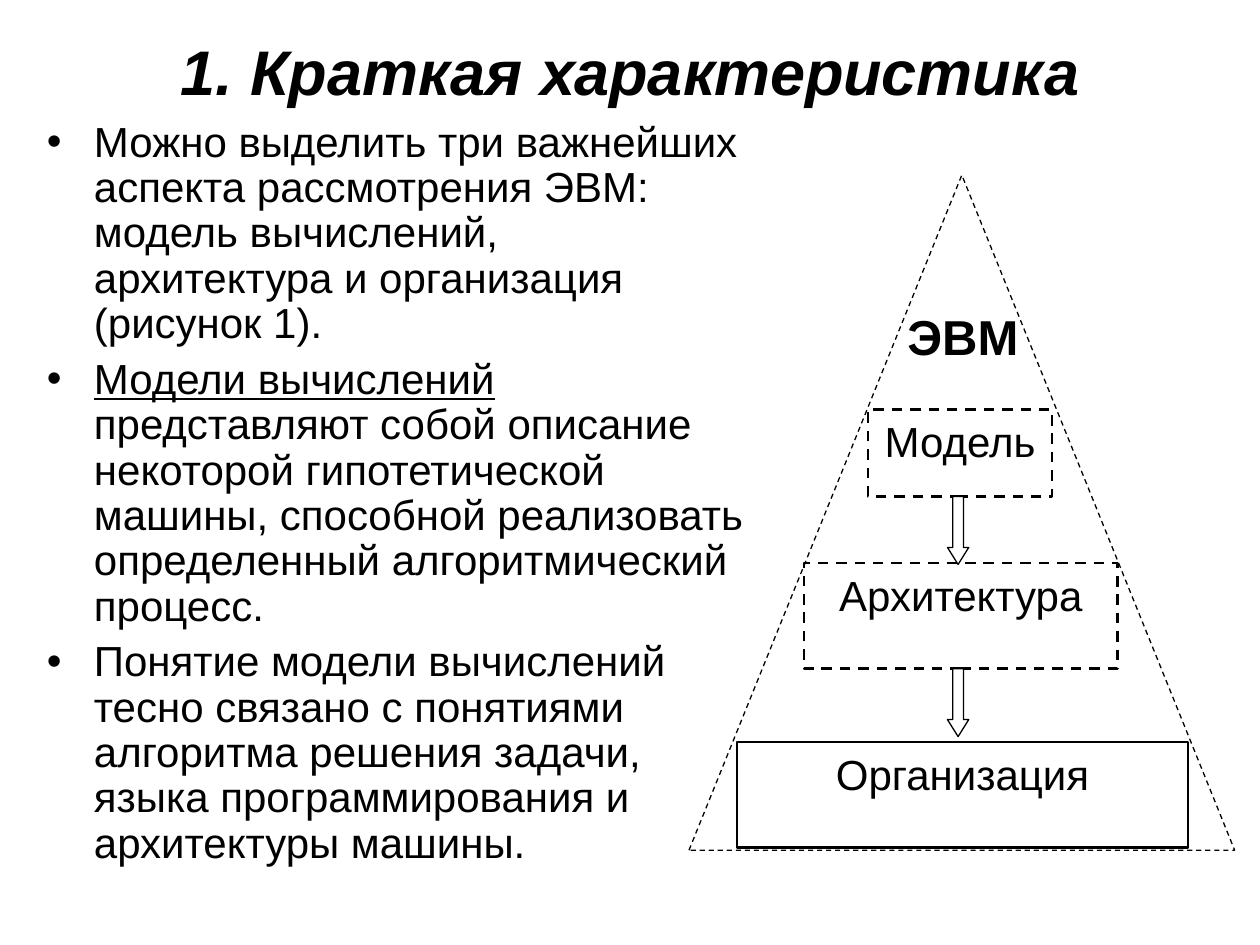
from dataclasses import dataclass

from pptx import Presentation
from pptx.dml.color import RGBColor
from pptx.enum.dml import MSO_LINE_DASH_STYLE as Dash
from pptx.enum.shapes import MSO_SHAPE as Shape
from pptx.enum.text import MSO_ANCHOR as Anchor, MSO_AUTO_SIZE as AutoSize, PP_ALIGN as Align
from pptx.oxml.ns import qn
from pptx.util import Cm, Pt


@dataclass(frozen=True)
class Theme:
    font: str = "Arial"
    ink: RGBColor = RGBColor(0, 0, 0)
    paper: RGBColor = RGBColor(255, 255, 255)
    title: Pt = Pt(36)
    label: Pt = Pt(28)
    body: Pt = Pt(24)
    thin: Pt = Pt(0.75)
    thick: Pt = Pt(1.5)


THEME = Theme()

# Each paragraph is a list of (text, underlined) runs.
BULLETS = [
    [("Можно выделить три важнейших аспекта рассмотрения ЭВМ: модель вычислений, "
      "архитектура и организация (рисунок 1).", False)],
    [("Модели вычислений", True),
     (" представляют собой описание некоторой гипотетической машины, способной "
      "реализовать определенный алгоритмический процесс.", False)],
    [("Понятие модели вычислений тесно связано с понятиями алгоритма решения задачи, "
      "языка программирования и архитектуры машины.", False)],
]

# Text, box in cm, line dash
LEVELS = [
    ("Модель", (17.5, 8.26, 3.71, 1.75), Dash.DASH),
    ("Архитектура", (16.21, 11.35, 6.32, 2.13), Dash.DASH),
    ("Организация", (14.86, 14.96, 9.09, 2.13), Dash.SOLID),
]
ARROW_LEFT, ARROW_WIDTH, ARROW_HEIGHT = 19.1, 0.43, 1.37


def set_all(target, **values):
    for name, value in values.items():
        setattr(target, name, value)


def set_font(font, size, **values):
    set_all(font, name=THEME.font, size=size, **values)
    font.color.rgb = THEME.ink


def place(shape, left, top, width, height):
    set_all(shape, left=Cm(left), top=Cm(top), width=Cm(width), height=Cm(height))


def write_centered(shape, text, size, **font_values):
    paragraph = shape.text_frame.paragraphs[0]
    paragraph.alignment = Align.CENTER
    run = paragraph.add_run()
    run.text = text
    set_font(run.font, size, **font_values)


def fill_title(title, text):
    place(title, 1.27, 0.13, 22.86, 2.57)
    set_all(title.text_frame, vertical_anchor=Anchor.MIDDLE, auto_size=AutoSize.NONE)
    write_centered(title, text, THEME.title, bold=True, italic=True)


def add_bullet(paragraph):
    properties = paragraph._p.get_or_add_pPr()
    properties.set("marL", str(Cm(0.95)))
    properties.set("indent", str(-Cm(0.95)))
    bullet = properties.makeelement(qn("a:buChar"), {"char": "•"})
    properties.append(bullet)


def fill_body(body):
    place(body, 0.69, 2.31, 14.6, 15.88)
    frame = body.text_frame
    set_all(frame, vertical_anchor=Anchor.TOP, auto_size=AutoSize.NONE, word_wrap=True)
    for index, runs in enumerate(BULLETS):
        paragraph = frame.add_paragraph() if index else frame.paragraphs[0]
        add_bullet(paragraph)
        set_all(paragraph, line_spacing=0.9, space_before=Pt(6 if index else 0))
        for text, underlined in runs:
            run = paragraph.add_run()
            run.text = text
            set_font(run.font, THEME.body, underline=underlined)


def add_outline(shapes, kind, box, width, dash=Dash.SOLID):
    """Add an unfilled preset shape with a black line."""
    shape = shapes.add_shape(kind, *map(Cm, box))
    shape.shadow.inherit = False
    shape.fill.background()
    shape.line.color.rgb = THEME.ink
    set_all(shape.line, width=width, dash_style=dash)
    return shape


def add_level(shapes, text, box, dash):
    shape = add_outline(shapes, Shape.RECTANGLE, box, THEME.thick, dash)
    set_all(shape.text_frame, vertical_anchor=Anchor.TOP, word_wrap=True)
    write_centered(shape, text, THEME.body)


def add_arrow_below(shapes, box):
    top = box[1] + box[3]
    arrow = add_outline(shapes, Shape.DOWN_ARROW,
                        (ARROW_LEFT, top, ARROW_WIDTH, ARROW_HEIGHT), THEME.thin)
    arrow.fill.solid()
    arrow.fill.fore_color.rgb = THEME.paper
    arrow.adjustments[0] = 0.5
    arrow.adjustments[1] = 0.8


def add_pyramid(slide):
    shapes = slide.shapes.add_group_shape().shapes
    label = shapes.add_textbox(Cm(17.91), Cm(6.05), Cm(3), Cm(1.47))
    label.text_frame.word_wrap = True
    write_centered(label, "ЭВМ", THEME.label, bold=True)
    for level in LEVELS:
        add_level(shapes, *level)
    for _, box, _ in LEVELS[:-1]:
        add_arrow_below(shapes, box)
    add_outline(shapes, Shape.ISOSCELES_TRIANGLE, (13.89, 3.53, 11, 13.61),
                THEME.thin, Dash.DASH)


def main():
    presentation = Presentation()
    set_all(presentation, slide_width=Cm(25.4), slide_height=Cm(19.05))
    slide = presentation.slides.add_slide(presentation.slide_layouts[1])
    fill_title(slide.shapes.title, "1. Краткая характеристика")
    fill_body(slide.placeholders[1])
    add_pyramid(slide)
    presentation.save("out.pptx")


if __name__ == "__main__":
    main()
